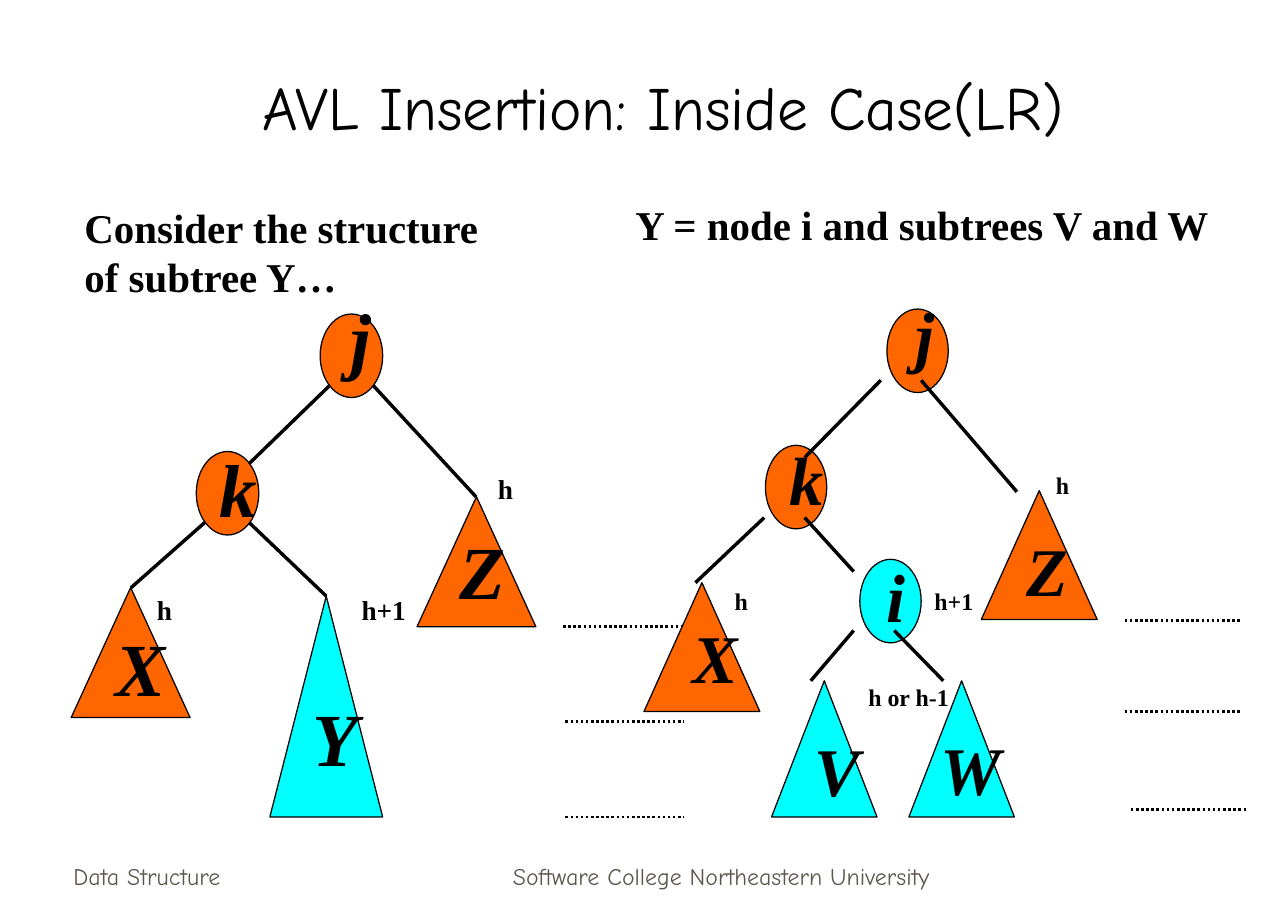
"""Build the slide on AVL insertion, inside case (LR)."""
from dataclasses import dataclass
from typing import Any

from lxml.etree import SubElement
from pptx import Presentation
from pptx.dml.color import RGBColor
from pptx.enum.dml import MSO_LINE
from pptx.enum.shapes import MSO_CONNECTOR, MSO_SHAPE
from pptx.enum.text import MSO_ANCHOR, MSO_AUTO_SIZE, PP_ALIGN
from pptx.oxml.ns import qn
from pptx.util import Pt


@dataclass(frozen=True)
class Theme:
    ink: RGBColor = RGBColor(0, 0, 0)
    muted: RGBColor = RGBColor(0x5E, 0x57, 0x4E)
    orange: RGBColor = RGBColor(0xFF, 0x66, 0x00)
    cyan: RGBColor = RGBColor(0x00, 0xFF, 0xFF)
    display: str = "Comic Neue"
    serif: str = "Times New Roman"
    title: float = 36
    heading: float = 24
    footer: float = 14
    outline: float = 0.75
    edge: float = 2
    level: float = 1.5


@dataclass(frozen=True)
class Vertex:
    letter: str
    kind: MSO_SHAPE
    fill: RGBColor
    box: tuple[float, float, float, float]
    letter_at: tuple[float, float]


@dataclass(frozen=True)
class Label:
    text: str
    left: float
    top: float
    width: float


@dataclass(frozen=True)
class Tree:
    letter_size: float
    letter_box: tuple[float, float]
    label_size: float
    label_height: float
    level_width: float
    vertices: list[Vertex]
    edges: list[tuple[float, float, float, float]]
    levels: list[tuple[float, float]]
    labels: list[Label]


THEME = Theme()
NODE, SUBTREE = MSO_SHAPE.OVAL, MSO_SHAPE.ISOSCELES_TRIANGLE
ORANGE, CYAN = THEME.orange, THEME.cyan

BEFORE = Tree(
    44, (22.3, 60.5), 16, 26.6, 69.8,
    vertices=[
        Vertex("j", NODE, ORANGE, (187.9, 184.3, 36.7, 49), (198.7, 167.8)),
        Vertex("k", NODE, ORANGE, (115.2, 265, 36.7, 49), (121.7, 256.3)),
        Vertex("X", SUBTREE, ORANGE, (41.8, 344.9, 69.8, 76.3), (60.5, 361.4)),
        Vertex("Y", SUBTREE, CYAN, (158.4, 349.9, 66.2, 129.6), (176.4, 402.5)),
        Vertex("Z", SUBTREE, ORANGE, (244.8, 291.6, 69.8, 76.3), (262.8, 304.6)),
    ],
    edges=[
        (193.7, 226.1, 146.2, 272.2), (218.9, 226.1, 279.4, 291.6),
        (120.2, 306.7, 77, 344.9), (146.2, 306.7, 191.5, 349.9),
    ],
    levels=[(330.5, 367.9), (331.9, 423.4), (331.9, 479.5)],
    labels=[
        Label("h", 285.1, 273.6, 17.3),
        Label("h+1", 205.2, 344.9, 40.3),
        Label("h", 85, 344.9, 23),
    ],
)
AFTER = Tree(
    40, (21.6, 55.4), 14, 24.5, 67.7,
    vertices=[
        Vertex("j", NODE, ORANGE, (520.6, 181.4, 36, 49), (530.6, 167.8)),
        Vertex("k", NODE, ORANGE, (449.3, 261.4, 36, 49), (456.5, 253.4)),
        Vertex("X", SUBTREE, ORANGE, (378, 342, 68, 75.6), (399.6, 357.8)),
        Vertex("V", SUBTREE, CYAN, (452.9, 399.6, 61.9, 79.9), (470.9, 424.1)),
        Vertex("Z", SUBTREE, ORANGE, (576, 288, 68, 75.6), (595.4, 306.7)),
        Vertex("W", SUBTREE, CYAN, (533.5, 399.6, 61.9, 79.9), (545, 423.4)),
        Vertex("i", NODE, CYAN, (504.7, 328.3, 36, 49), (513.4, 321.8)),
    ],
    edges=[
        (517, 223.2, 472.3, 268.6), (540.7, 223.2, 596.9, 288.7),
        (448.6, 303.8, 408.2, 342), (472.3, 303.8, 501.1, 335.5),
        (501.1, 370.1, 475.9, 399.6), (524.9, 370.1, 553.7, 399.6),
    ],
    levels=[(660.2, 364.3), (660.2, 417.6), (663.8, 475.2)],
    labels=[
        Label("h", 612.7, 272.9, 15.1),
        Label("h+1", 541.4, 340.6, 36.7),
        Label("h", 424.1, 340.6, 22.3),
        Label("h or h-1", 502.6, 397.4, 61.9),
    ],
)


def write(sp: Any, lines: list[str], size: float, color: RGBColor = THEME.ink,
          name: str = THEME.serif, bold: bool = True, italic: bool = False,
          align: PP_ALIGN = PP_ALIGN.LEFT, anchor: MSO_ANCHOR = MSO_ANCHOR.TOP,
          wrap: bool = True) -> None:
    tf = sp.text_frame
    frame = {"word_wrap": wrap, "auto_size": MSO_AUTO_SIZE.NONE, "vertical_anchor": anchor}
    for key, value in frame.items():
        setattr(tf, key, value)
    tf.text = "\n".join(lines)
    for p in tf.paragraphs:
        p.alignment = align
        for r in p.runs:
            font = {"size": Pt(size), "name": name, "bold": bold, "italic": italic}
            for key, value in font.items():
                setattr(r.font, key, value)
            r.font.color.rgb = color


def add_text(shapes: Any, box: tuple[float, float, float, float], lines: list[str],
             size: float, **style: Any) -> None:
    write(shapes.add_textbox(*map(Pt, box)), lines, size, **style)


def add_line(shapes: Any, ends: tuple[float, float, float, float], width: float,
             dash: MSO_LINE | None = None) -> None:
    sp = shapes.add_connector(MSO_CONNECTOR.STRAIGHT, *map(Pt, ends))
    sp.line.color.rgb = THEME.ink
    sp.line.width = Pt(width)
    if dash is not None:
        sp.line.dash_style = dash
    SubElement(sp._element.spPr, qn("a:effectLst"))


def add_vertex(shapes: Any, vertex: Vertex, tree: Tree) -> None:
    sp = shapes.add_shape(vertex.kind, *map(Pt, vertex.box))
    sp.shadow.inherit = False
    sp.fill.solid()
    sp.fill.fore_color.rgb = vertex.fill
    sp.line.color.rgb = THEME.ink
    sp.line.width = Pt(THEME.outline)
    add_text(shapes, vertex.letter_at + tree.letter_box, [vertex.letter],
             tree.letter_size, italic=True)


def add_tree(slide: Any, tree: Tree) -> None:
    shapes = slide.shapes.add_group_shape().shapes
    for vertex in tree.vertices:
        add_vertex(shapes, vertex, tree)
    for ends in tree.edges:
        add_line(shapes, ends, THEME.edge)
    for x, y in tree.levels:
        add_line(shapes, (x, y, x + tree.level_width, y), THEME.level, MSO_LINE.ROUND_DOT)
    for label in tree.labels:
        box = (label.left, label.top, label.width, tree.label_height)
        add_text(shapes, box, [label.text], tree.label_size, wrap=len(label.text) == 1)


def main() -> None:
    prs = Presentation()
    prs.slide_width, prs.slide_height = Pt(756), Pt(540)
    slide = prs.slides.add_slide(prs.slide_layouts[5])

    title = slide.shapes.title
    place = {"left": 66.2, "top": 23.8, "width": 645.8, "height": 63.4}
    for key, value in place.items():
        setattr(title, key, Pt(value))
    display = {"name": THEME.display, "bold": False, "anchor": MSO_ANCHOR.BOTTOM}
    write(title, ["AVL Insertion: Inside Case(LR)"], THEME.title,
          align=PP_ALIGN.CENTER, **display)

    footer = display | {"color": THEME.muted}
    add_text(slide.shapes, (36, 490.3, 157.7, 36), ["Data Structure"], THEME.footer, **footer)
    add_text(slide.shapes, (258.5, 490.3, 329.8, 36),
             ["Software College Northeastern University"], THEME.footer,
             align=PP_ALIGN.CENTER, **footer)

    add_text(slide.shapes, (42.5, 115.2, 246.2, 64.8),
             ["Consider the structure", "of subtree Y…"], THEME.heading, wrap=False)
    add_tree(slide, BEFORE)
    add_text(slide.shapes, (365.8, 113.8, 383.8, 36),
             ["Y = node i and subtrees V and W"], THEME.heading)
    add_tree(slide, AFTER)
    prs.save("out.pptx")


if __name__ == "__main__":
    main()
